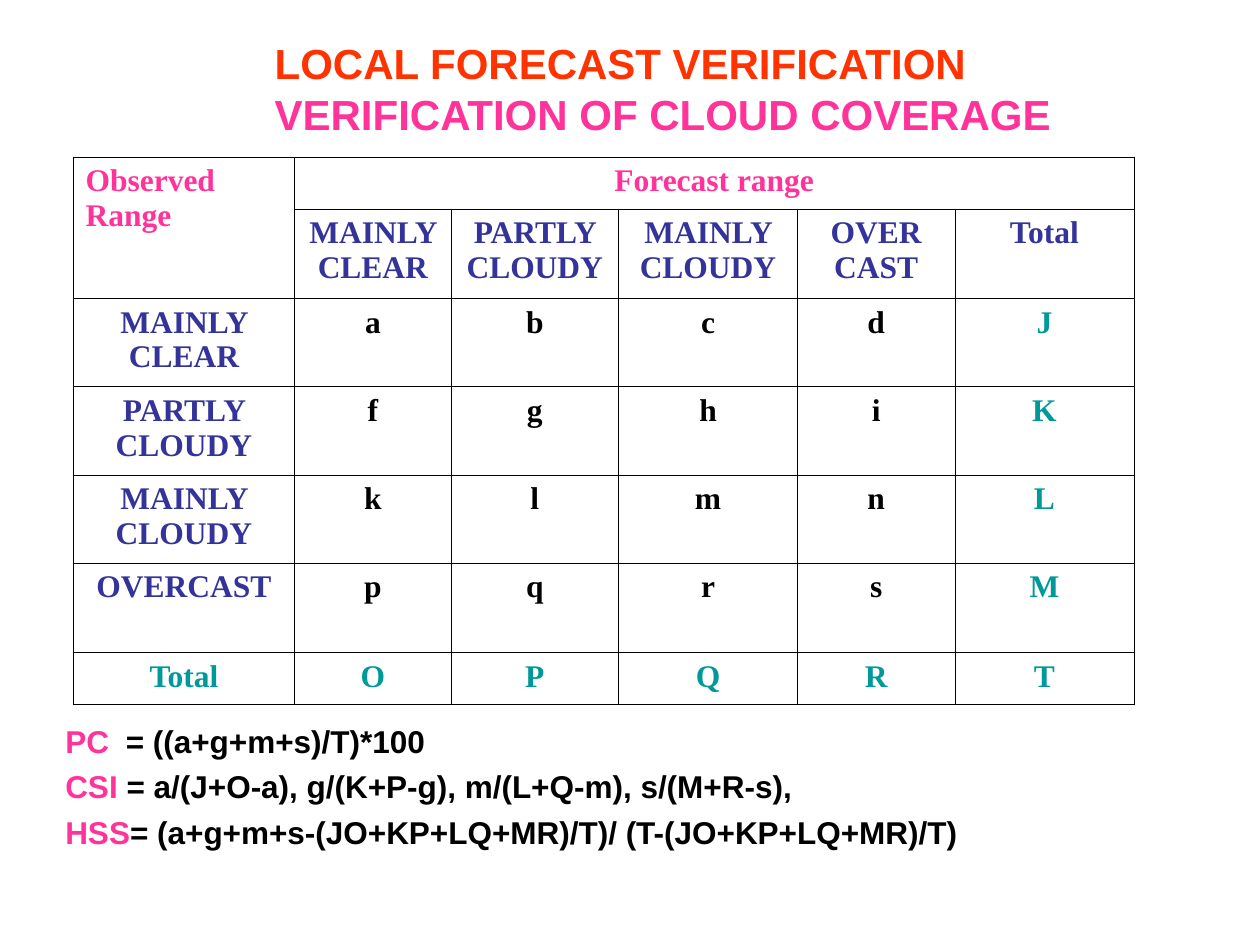
from lxml import etree
from pptx import Presentation
from pptx.dml.color import RGBColor
from pptx.enum.text import MSO_ANCHOR, PP_ALIGN
from pptx.oxml.ns import qn
from pptx.util import Inches, Pt

LEFT, CENTER = PP_ALIGN.LEFT, PP_ALIGN.CENTER
TOP = MSO_ANCHOR.TOP

ORANGE = RGBColor(0xFF, 0x33, 0x00)
PINK = RGBColor(0xFF, 0x33, 0x99)
INDIGO = RGBColor(0x33, 0x33, 0x99)
TEAL = RGBColor(0x00, 0x99, 0x99)
BLACK = RGBColor(0, 0, 0)

TITLE_FONT = {"name": "Arial", "size": Pt(24), "bold": True}
FORMULA_FONT = {"name": "Arial", "size": Pt(18), "bold": True}
TABLE_FONT = {"name": "Times New Roman", "size": Pt(18), "bold": True}

COLUMN_WIDTHS = [1.76, 1.24, 1.33, 1.42, 1.25, 1.42]
ROW_HEIGHTS = [0.41, 0.71, 0.7, 0.7, 0.7, 0.71, 0.41]
ROWS = [
    ["Observed\nRange", "Forecast range", "", "", "", ""],
    ["", "MAINLY CLEAR", "PARTLY CLOUDY", "MAINLY CLOUDY", "OVER\nCAST", "Total"],
    ["MAINLY CLEAR", "a", "b", "c", "d", "J"],
    ["PARTLY CLOUDY", "f", "g", "h", "i", "K"],
    ["MAINLY CLOUDY", "k", "l", "m", "n", "L"],
    ["OVERCAST", "p", "q", "r", "s", "M"],
    ["Total", "O", "P", "Q", "R", "T"],
]
FORMULAS = [
    ("PC\t", "= ((a+g+m+s)/T)*100"),
    ("CSI ", "= a/(J+O-a), g/(K+P-g), m/(L+Q-m), s/(M+R-s),"),
    ("HSS", "= (a+g+m+s-(JO+KP+LQ+MR)/T)/ (T-(JO+KP+LQ+MR)/T)"),
]


def style_font(font, values, color):
    for name, value in values.items():
        setattr(font, name, value)
    font.color.rgb = color


def draw_borders(cell):
    properties = cell._tc.get_or_add_tcPr()
    for position, side in enumerate(("a:lnL", "a:lnR", "a:lnT", "a:lnB")):
        line = etree.Element(qn(side), w=str(Pt(0.45)))
        fill = etree.SubElement(line, qn("a:solidFill"))
        etree.SubElement(fill, qn("a:srgbClr"), val=str(BLACK))
        properties.insert(position, line)


presentation = Presentation()
presentation.slide_width = Inches(10)
presentation.slide_height = Inches(7.5)
slide = presentation.slides.add_slide(presentation.slide_layouts[5])

# Title, indented two inches
title = slide.shapes.title
title.left, title.top = Inches(0.08), Inches(0.25)
title.width, title.height = Inches(9.42), Inches(0.9)
frame = title.text_frame
frame.margin_left = Inches(2.1)
frame.vertical_anchor = TOP
frame.text = "LOCAL FORECAST VERIFICATION\nVERIFICATION OF CLOUD COVERAGE"
for paragraph, color in zip(frame.paragraphs, (ORANGE, PINK)):
    paragraph.alignment = LEFT
    style_font(paragraph.runs[0].font, TITLE_FONT, color)

# Contingency table
table = slide.shapes.add_table(
    len(ROW_HEIGHTS), len(COLUMN_WIDTHS), Inches(0.58), Inches(1.25),
    Inches(sum(COLUMN_WIDTHS)), Inches(sum(ROW_HEIGHTS))).table
table.first_row = table.horz_banding = False
for column, width in zip(table.columns, COLUMN_WIDTHS):
    column.width = Inches(width)
for row, height in zip(table.rows, ROW_HEIGHTS):
    row.height = Inches(height)
table.cell(0, 0).merge(table.cell(1, 0))
table.cell(0, 1).merge(table.cell(0, 5))

last_row, last_column = len(ROWS) - 1, len(COLUMN_WIDTHS) - 1
for r, texts in enumerate(ROWS):
    for c, text in enumerate(texts):
        cell = table.cell(r, c)
        cell.fill.background()
        draw_borders(cell)
        if r == 0:
            color = PINK
        elif r == last_row or (c == last_column and r > 1):
            color = TEAL
        elif r == 1 or c == 0:
            color = INDIGO
        else:
            color = BLACK
        if not cell.is_spanned:
            cell.text = text
        for paragraph in cell.text_frame.paragraphs:
            paragraph.alignment = LEFT if r == c == 0 else CENTER
            style_font(paragraph.font, TABLE_FONT, color)
            for run in paragraph.runs:
                style_font(run.font, TABLE_FONT, color)

# Score formulas
formula_box = slide.shapes.add_textbox(
    Inches(0.42), Inches(5.62), Inches(9.17), Inches(1.54))
frame = formula_box.text_frame
frame.word_wrap = True
frame.vertical_anchor = TOP
for index, parts in enumerate(FORMULAS):
    paragraph = frame.paragraphs[0] if index == 0 else frame.add_paragraph()
    paragraph.line_spacing = 1.2
    tabs = etree.SubElement(paragraph._p.get_or_add_pPr(), qn("a:tabLst"))
    etree.SubElement(tabs, qn("a:tab"), pos=str(Inches(0.48)), algn="l")
    for text, color in zip(parts, (PINK, BLACK)):
        run = paragraph.add_run()
        run.text = text
        style_font(run.font, FORMULA_FONT, color)

presentation.save("out.pptx")
